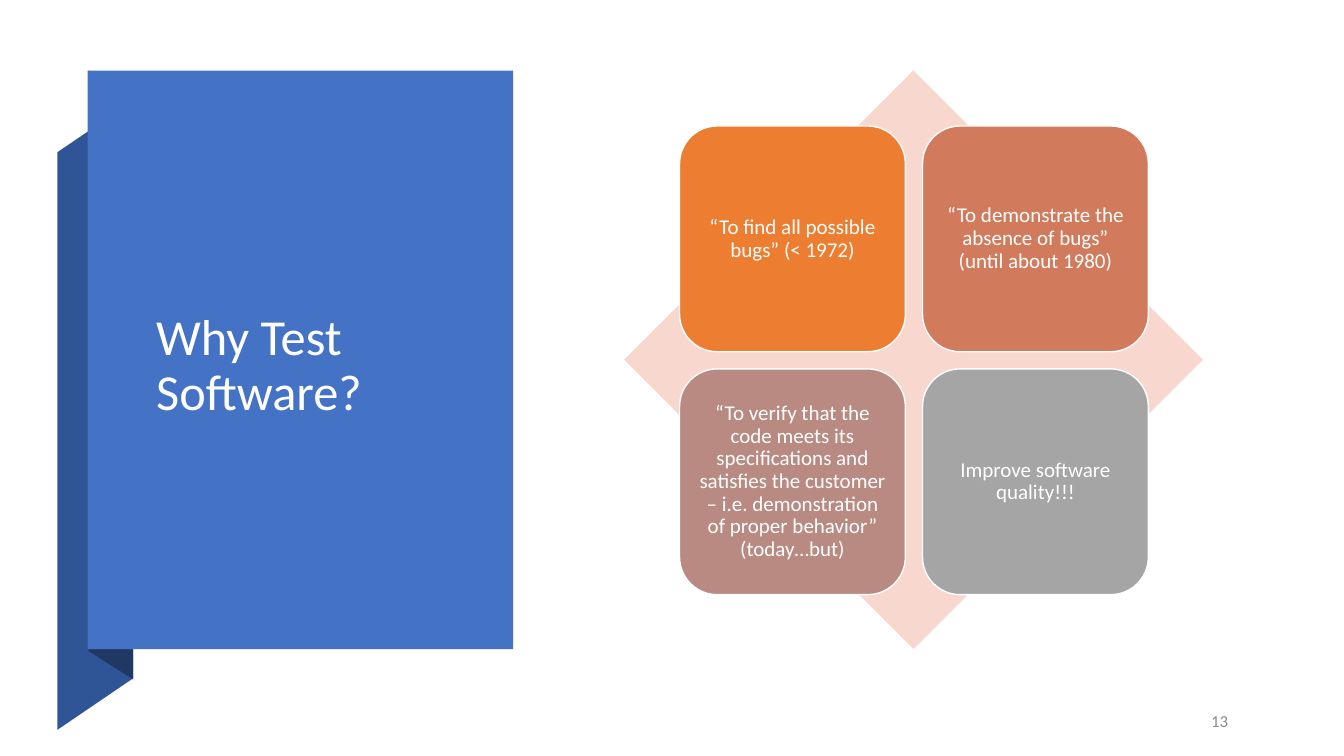
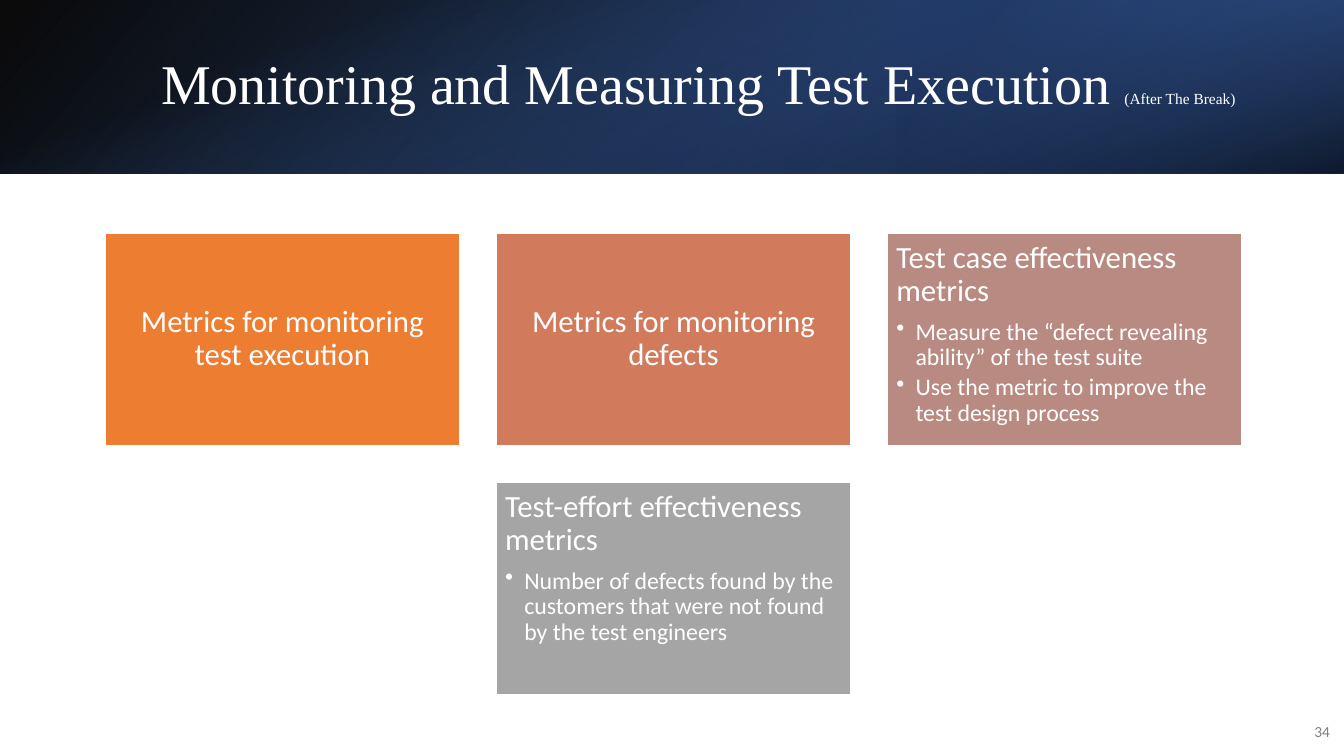
from pptx import Presentation
from pptx.dml.color import RGBColor
from pptx.enum.shapes import MSO_SHAPE
from pptx.enum.text import MSO_ANCHOR, PP_ALIGN
from pptx.oxml import parse_xml
from pptx.oxml.ns import nsdecls, qn
from pptx.util import Inches, Pt

RECT, ROUNDED, DIAMOND = MSO_SHAPE.RECTANGLE, MSO_SHAPE.ROUNDED_RECTANGLE, MSO_SHAPE.DIAMOND
MIDDLE, TOP = MSO_ANCHOR.MIDDLE, MSO_ANCHOR.TOP
LEFT, CENTER, RIGHT = PP_ALIGN.LEFT, PP_ALIGN.CENTER, PP_ALIGN.RIGHT

WHITE, BLACK = "FFFFFF", "000000"
BLUE, DARK_BLUE, NAVY = "4472C4", "2F5597", "203864"
TILE_COLORS = ["ED7D31", "D17B5C", "B98A82", "A5A5A5"]


def rgb(hex_color):
    return RGBColor.from_string(hex_color)


def apply(target, values):
    """Set each named attribute of target."""
    for name, value in values.items():
        setattr(target, name, value)


class Deck:
    """Holds the shared style and the slide being built."""

    font = "Calibri"
    line_spacing = 0.9

    def __init__(self):
        self.prs = Presentation()
        self.prs.slide_width, self.prs.slide_height = Inches(13.33), Inches(7.5)
        self.slide = None

    def new_slide(self):
        self.slide = self.prs.slides.add_slide(self.prs.slide_layouts[6])

    def paint(self, shape, fill, line=None):
        shape.shadow.inherit = False
        shape.fill.solid()
        shape.fill.fore_color.rgb = rgb(fill)
        if line:
            shape.line.color.rgb = rgb(line)
            shape.line.width = Pt(1)
        else:
            shape.line.fill.background()

    def shape(self, kind, box, fill, line=None):
        shape = self.slide.shapes.add_shape(kind, *map(Inches, box))
        self.paint(shape, fill, line)
        return shape

    def outline(self, points, fill):
        start, *others = [(Inches(x), Inches(y)) for x, y in points]
        builder = self.slide.shapes.build_freeform(*start)
        builder.add_line_segments(others)
        self.paint(builder.convert_to_shape(), fill)

    def gradient(self, box, stops, angle, rotation=0, flip=False):
        """Draw a rectangle; stops are (position %, colour, opacity %)."""
        band = self.shape(RECT, box, BLACK)
        band.rotation = rotation
        properties = band._element.spPr
        if flip:
            properties.xfrm.set("flipH", "1")
        stop_xml = "".join(
            f'<a:gs pos="{position * 1000}"><a:srgbClr val="{color}">'
            f'<a:alpha val="{opacity * 1000}"/></a:srgbClr></a:gs>'
            for position, color, opacity in stops)
        gradient = parse_xml(
            f'<a:gradFill {nsdecls("a")} rotWithShape="1"><a:gsLst>{stop_xml}</a:gsLst>'
            f'<a:lin ang="{angle * 60000}" scaled="0"/></a:gradFill>')
        properties.replace(properties.find(qn("a:solidFill")), gradient)

    def frame(self, shape, anchor=MIDDLE, inset=None):
        frame = shape.text_frame
        apply(frame, {"word_wrap": True, "vertical_anchor": anchor})
        if inset is not None:
            sides = ("left", "top", "right", "bottom")
            apply(frame, {f"margin_{side}": Inches(inset) for side in sides})
        return frame

    def add_runs(self, paragraph, runs, color=WHITE, font=None, **values):
        """Fill a paragraph with (text, size) runs."""
        apply(paragraph, {"line_spacing": self.line_spacing, **values})
        for text, size in runs:
            run = paragraph.add_run()
            run.text = text
            apply(run.font, {"size": Pt(size), "name": font or self.font})
            run.font.color.rgb = rgb(color)

    def text(self, box, runs, **style):
        text_box = self.slide.shapes.add_textbox(*map(Inches, box))
        self.add_runs(self.frame(text_box).paragraphs[0], runs, **style)

    def page_number(self, box, number, size, color):
        self.text(box, [(number, size)], color=color, alignment=RIGHT, line_spacing=1.0)

    def tile(self, kind, box, fill, heading, size, inset, points=()):
        """Draw a coloured tile: centred heading, or heading above bullets."""
        tile = self.shape(kind, box, fill, WHITE)
        frame = self.frame(tile, TOP if points else MIDDLE, inset)
        self.add_runs(frame.paragraphs[0], [(heading, size)],
                      alignment=LEFT if points else CENTER,
                      space_after=Pt(8 if points else 0))
        for point in points:
            self.bullet(frame.add_paragraph(), point)

    def bullet(self, paragraph, text):
        properties = paragraph._p.get_or_add_pPr()
        indent = Inches(0.19)
        properties.set("marL", str(indent))
        properties.set("indent", str(-indent))
        properties.append(parse_xml(f'<a:buChar {nsdecls("a")} char="•"/>'))
        self.add_runs(paragraph, [(text, 17)], alignment=LEFT, space_after=Pt(3))


def build_why_test(deck):
    deck.new_slide()
    deck.outline([(0.57, 7.24), (1.32, 6.73), (1.32, 1), (0.57, 1.51)], DARK_BLUE)
    deck.outline([(0.88, 6.46), (1.32, 6.74), (1.32, 0.99), (0.88, 0.7)], NAVY)
    deck.shape(RECT, (0.87, 0.7, 4.22, 5.74), BLUE)
    deck.text((1.45, 1.67, 3.01, 3.94), [("Why Test Software?", 36)])
    deck.page_number((11.53, 6.98, 0.75, 0.35), "13", 12, "8C8C8C")

    deck.shape(DIAMOND, (6.19, 0.7, 5.74, 5.74), "F8D7CE")
    reasons = [
        "“To find all possible bugs” (< 1972)",
        "“To demonstrate the absence of bugs” (until about 1980)",
        "“To verify that the code meets its specifications and satisfies the customer "
        "– i.e. demonstration of proper behavior” (today…but)",
        "Improve software quality!!!",
    ]
    side, step = 2.24, 2.41
    for index, (reason, color) in enumerate(zip(reasons, TILE_COLORS)):
        row, column = divmod(index, 2)
        box = (6.74 + column * step, 1.25 + row * step, side, side)
        deck.tile(ROUNDED, box, color, reason, 15, 0.06)


def build_monitoring(deck):
    deck.new_slide()
    width, height = 13.33, 1.72
    deck.gradient((0, 0, width, height), [(0, BLACK, 96), (100, DARK_BLUE, 100)],
                  140, flip=True)
    deck.gradient((8.89, 0, 4.44, height), [(19, NAVY, 68), (100, BLUE, 79)],
                  320, rotation=180, flip=True)
    deck.gradient(((width - height) / 2, (height - width) / 2, height, width),
                  [(23, BLUE, 0), (99, BLACK, 74)], 340, rotation=90)
    deck.text((1.5, 0.38, 10.98, 0.96),
              [("Monitoring and Measuring Test Execution ", 40), ("(After The Break)", 11)],
              font="Times New Roman")
    deck.page_number((12.8, 7.06, 0.49, 0.4), "34", 11, "808080")

    metrics = [
        (0, 0, "Metrics for monitoring test execution", []),
        (1, 0, "Metrics for monitoring defects", []),
        (2, 0, "Test case effectiveness metrics",
         ["Measure the “defect revealing ability” of the test suite",
          "Use the metric to improve the test design process"]),
        (1, 1, "Test-effort effectiveness metrics",
         ["Number of defects found by the customers that were not found "
          "by the test engineers"]),
    ]
    for (column, row, heading, points), color in zip(metrics, TILE_COLORS):
        box = (1.04 + column * 3.88, 2.31 + row * 2.47, 3.52, 2.11)
        deck.tile(RECT, box, color, heading, 22, 0.09, points)


def main():
    deck = Deck()
    build_why_test(deck)
    build_monitoring(deck)
    deck.prs.save("out.pptx")


if __name__ == "__main__":
    main()
